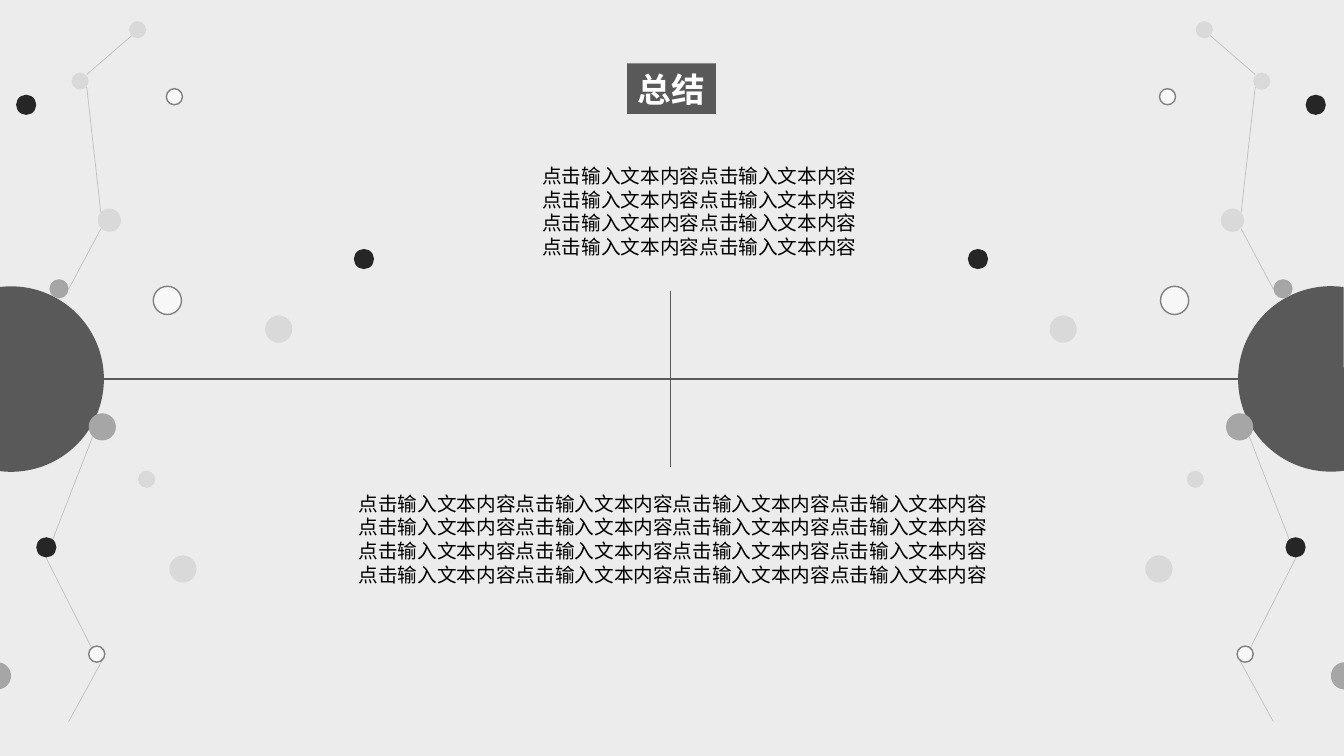
from typing import NamedTuple, Optional

from lxml import etree
from pptx import Presentation
from pptx.dml.color import RGBColor
from pptx.enum.shapes import MSO_CONNECTOR, MSO_SHAPE
from pptx.enum.text import MSO_ANCHOR, MSO_AUTO_SIZE, PP_ALIGN
from pptx.oxml.ns import qn
from pptx.util import Inches, Pt

STRAIGHT = MSO_CONNECTOR.STRAIGHT
RECT, OVAL, CHORD = MSO_SHAPE.RECTANGLE, MSO_SHAPE.OVAL, MSO_SHAPE.CHORD
MIDDLE, CENTER, GROW = MSO_ANCHOR.MIDDLE, PP_ALIGN.CENTER, MSO_AUTO_SIZE.SHAPE_TO_FIT_TEXT

PAPER = RGBColor(0xEC, 0xEC, 0xEC)
DARK = RGBColor(0x59, 0x59, 0x59)
INK = RGBColor(0x26, 0x26, 0x26)
GREY = RGBColor(0xA6, 0xA6, 0xA6)
PALE = RGBColor(0xD9, 0xD9, 0xD9)
PEARL = RGBColor(0xF7, 0xF7, 0xF7)
RIM = RGBColor(0x80, 0x80, 0x80)
THREAD = RGBColor(0xBF, 0xBF, 0xBF)
WHITE = RGBColor(0xFF, 0xFF, 0xFF)
BLACK = RGBColor(0, 0, 0)

FONT = "Arial"
SPAN = 13.31
PHRASE = "点击输入文本内容"


class Link(NamedTuple):
    x1: float
    y1: float
    x2: float
    y2: float


class Dot(NamedTuple):
    x: float
    y: float
    size: float
    fill: RGBColor
    rim: Optional[RGBColor] = None


class Note(NamedTuple):
    x: float
    y: float
    width: float
    height: float
    counts: tuple[int, ...]


LINKS = [
    Link(1.02, 6.54, 0.68, 7.16),
    Link(0.86, 0.74, 1.31, 0.35),
    Link(1, 2.11, 0.86, 0.86),
    Link(0.68, 2.87, 1, 2.27),
    Link(0.91, 6.43, 0.45, 5.52),
    Link(0.52, 5.36, 0.92, 4.33),
]
DOTS = [
    Dot(0.16, 0.94, 0.2, INK),
    Dot(-0.16, 6.57, 0.27, GREY),
    Dot(0.88, 6.41, 0.16, PEARL, RIM),
    Dot(1.65, 0.88, 0.16, PEARL, RIM),
    Dot(0.71, 0.72, 0.17, PALE),
    Dot(0.49, 2.77, 0.19, GREY),
    Dot(3.51, 2.47, 0.2, INK),
    Dot(0.88, 4.1, 0.27, GREY),
    Dot(0.36, 5.33, 0.2, INK),
    Dot(1.28, 0.21, 0.17, PALE),
    Dot(1.37, 4.67, 0.17, PALE),
    Dot(2.63, 3.13, 0.27, PALE),
    Dot(1.68, 5.51, 0.27, PALE),
    Dot(1.52, 2.84, 0.28, PEARL, RIM),
    Dot(0.97, 2.07, 0.23, PALE),
]
GLOBE = Dot(-0.81, 2.84, 1.84, DARK)
NOTES = [
    Note(5.28, 1.58, 3.42, 1.28, (4, 2, 2)),
    Note(3.46, 4.83, 6.5, 1.51, (4, 4, 4, 4)),
]


def flip_link(link: Link) -> Link:
    return link._replace(x1=SPAN - link.x1, x2=SPAN - link.x2)


def flip_dot(dot: Dot) -> Dot:
    return dot._replace(x=SPAN - dot.x - dot.size)


def add_link(slide, link: Link, color: RGBColor, width: float) -> None:
    line = slide.shapes.add_connector(STRAIGHT, *map(Inches, link))
    line.line.color.rgb = color
    line.line.width = Pt(width)
    etree.SubElement(line._element.spPr, qn("a:effectLst"))


def add_dot(slide, dot: Dot, kind=OVAL):
    size = Inches(dot.size)
    shape = slide.shapes.add_shape(kind, Inches(dot.x), Inches(dot.y), size, size)
    shape.shadow.inherit = False
    shape.fill.solid()
    shape.fill.fore_color.rgb = dot.fill
    if dot.rim is None:
        shape.line.fill.background()
    else:
        shape.line.color.rgb = dot.rim
        shape.line.width = Pt(1)
    return shape


def add_globe(slide, dot: Dot, turn: float) -> None:
    globe = add_dot(slide, dot, CHORD)
    globe.adjustments[0] = 24.13
    globe.adjustments[1] = 141.74
    globe.rotation = turn


def add_run(para, text: str, size: int, color: RGBColor, bold: bool = False) -> None:
    run = para.add_run()
    run.text = text
    run.font.name = FONT
    run.font.size = Pt(size)
    run.font.bold = bold
    run.font.color.rgb = color


def add_title(slide, text: str) -> None:
    label = slide.shapes.add_shape(RECT, Inches(6.22), Inches(0.63), Inches(0.88), Inches(0.5))
    label.shadow.inherit = False
    label.fill.solid()
    label.fill.fore_color.rgb = DARK
    label.line.fill.background()
    frame = label.text_frame
    frame.word_wrap = False
    frame.auto_size = GROW
    frame.vertical_anchor = MIDDLE
    para = frame.paragraphs[0]
    para.alignment = CENTER
    add_run(para, text, 24, WHITE, True)


def add_note(slide, note: Note) -> None:
    frame = slide.shapes.add_textbox(*map(Inches, note[:4])).text_frame
    frame.word_wrap = True
    frame.auto_size = GROW
    for i, count in enumerate(note.counts):
        para = frame.add_paragraph() if i else frame.paragraphs[0]
        add_run(para, PHRASE * count, 14, BLACK)


def main() -> None:
    deck = Presentation()
    deck.slide_width, deck.slide_height = Inches(13.33), Inches(7.5)
    slide = deck.slides.add_slide(deck.slide_layouts[6])
    slide.background.fill.solid()
    slide.background.fill.fore_color.rgb = PAPER

    add_link(slide, Link(0.99, 3.76, 12.32, 3.76), DARK, 0.75)
    add_title(slide, "总结")
    add_link(slide, Link(6.65, 4.63, 6.65, 2.89), DARK, 0.75)
    add_globe(slide, GLOBE, 222.1)
    add_globe(slide, flip_dot(GLOBE), 41.6)

    sides = [(list(map(flip_link, LINKS)), list(map(flip_dot, DOTS))), (LINKS, DOTS)]
    for links, dots in sides:
        for link in links:
            add_link(slide, link, THREAD, 0.5)
        for dot in dots:
            add_dot(slide, dot)

    for note in NOTES:
        add_note(slide, note)
    deck.save("out.pptx")


if __name__ == "__main__":
    main()
